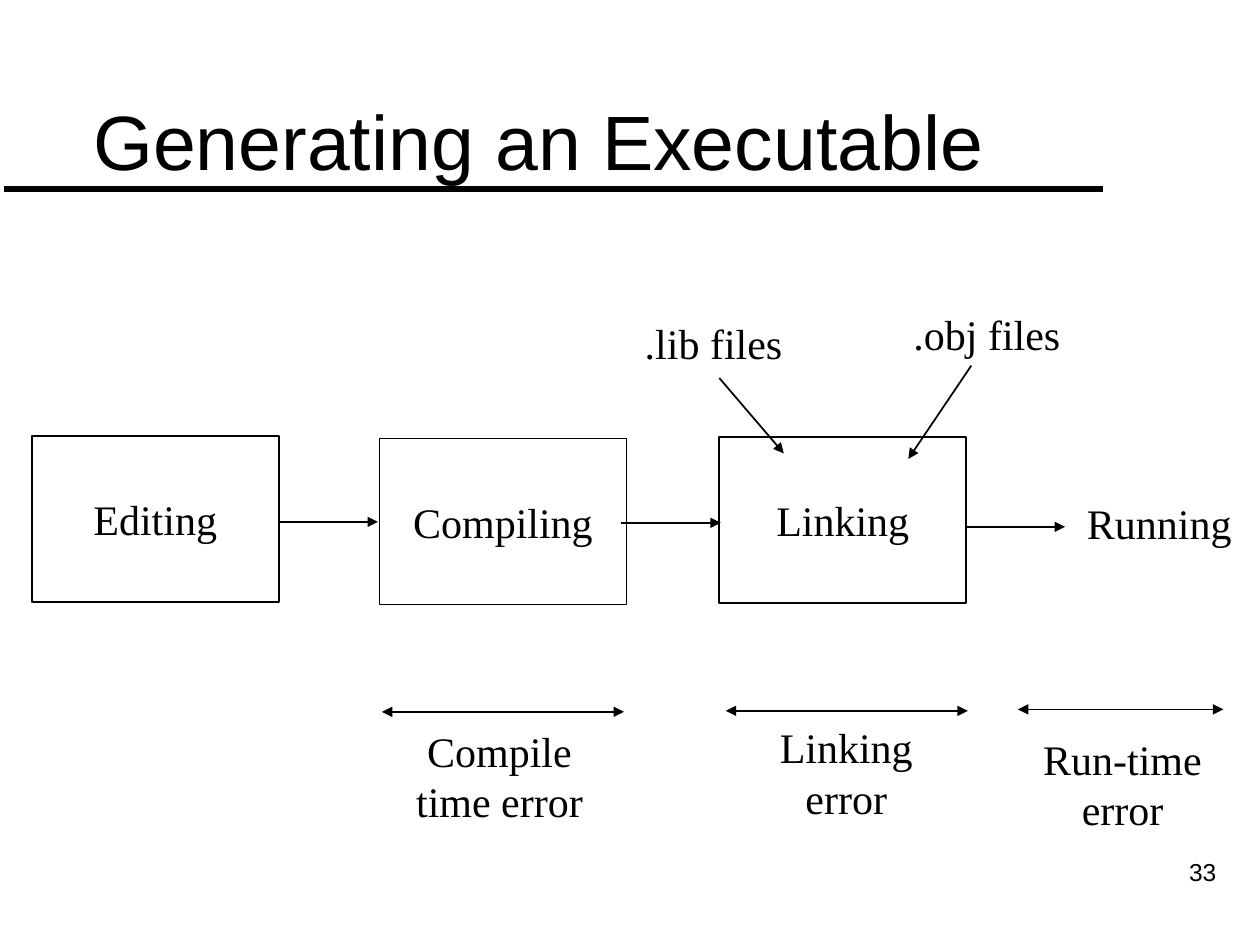
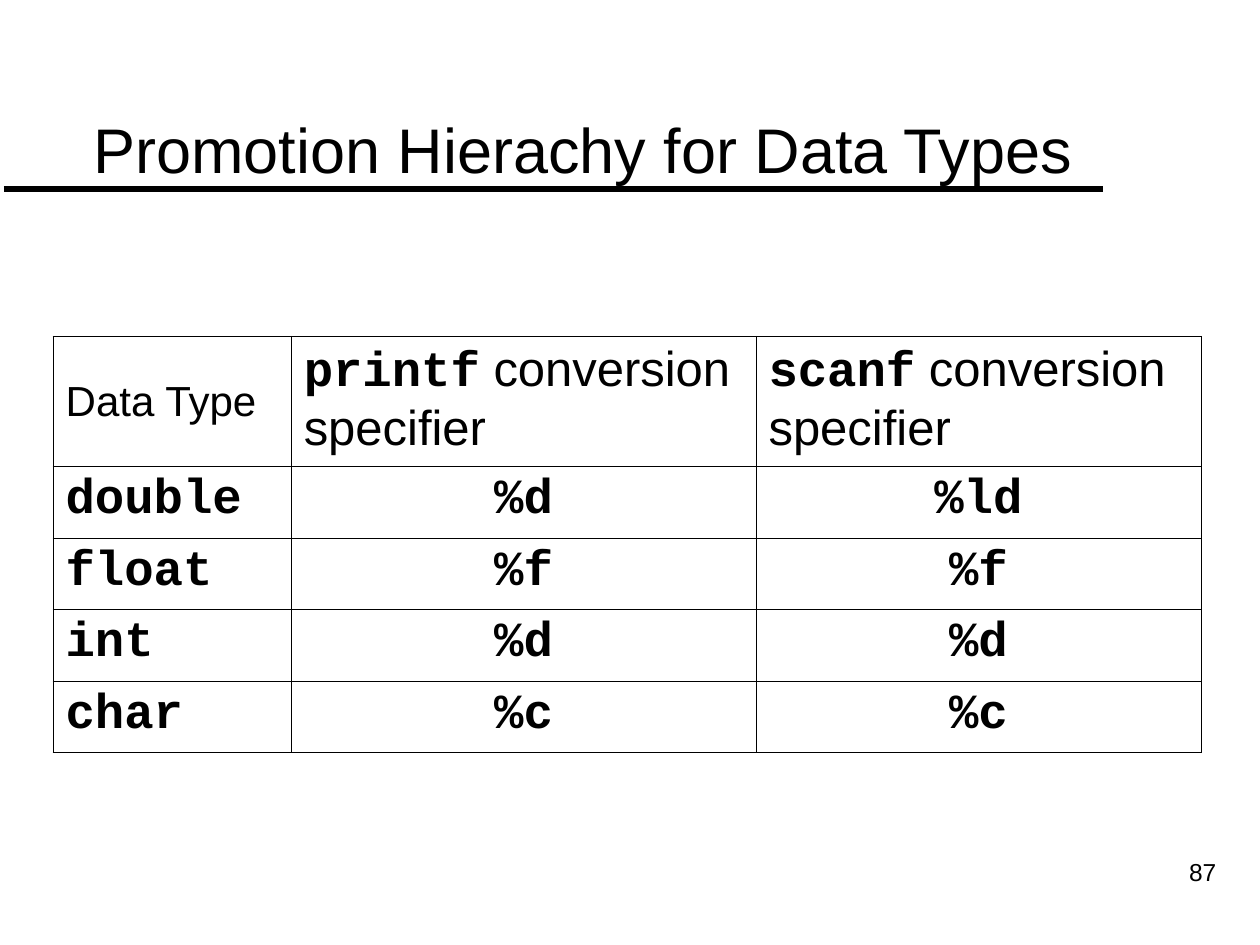
from dataclasses import dataclass

from lxml.etree import SubElement
from pptx import Presentation
from pptx.dml.color import RGBColor
from pptx.enum.shapes import MSO_CONNECTOR, MSO_SHAPE
from pptx.enum.text import MSO_ANCHOR, PP_ALIGN
from pptx.oxml.ns import qn
from pptx.util import Cm, Pt

BLACK = RGBColor(0x00, 0x00, 0x00)
SANS = "Arial"
SERIF = "Times New Roman"
MONO = "Courier New"
BLANK_LAYOUT = 6


@dataclass
class Box:
    """A region of the slide, in centimetres."""
    left: float
    top: float
    width: float
    height: float

    def inner(self, left, top, width, height):
        return Box(self.left + left, self.top + top, width, height)

    def point(self, x, y):
        return self.left + x, self.top + y

    def lengths(self):
        return Cm(self.left), Cm(self.top), Cm(self.width), Cm(self.height)


TITLE_BOX = Box(1.63, 0.81, 21.59, 3.07)
NUMBER_BOX = Box(21.39, 17.15, 3.38, 1.32)
DIAGRAM_BOX = Box(0.6, 6, 24.8, 11)
TABLE_BOX = Box(1.07, 6.78, 23.14, 8.38)


def style_run(run, size, name, bold=False):
    run.font.size = Pt(size)
    run.font.name = name
    run.font.bold = bold
    run.font.color.rgb = BLACK


def write(text_frame, text, size, name, alignment, anchor=MSO_ANCHOR.TOP):
    text_frame.word_wrap = True
    text_frame.vertical_anchor = anchor
    text_frame.text = text
    paragraph = text_frame.paragraphs[0]
    paragraph.alignment = alignment
    style_run(paragraph.runs[0], size, name)


def add_text(slide, box, *style):
    write(slide.shapes.add_textbox(*box.lengths()).text_frame, *style)


def add_label(slide, box, text):
    add_text(slide, box, text, 24, SERIF, PP_ALIGN.CENTER)


def add_line(slide, start, end, width=1, arrow_ends=()):
    """Draw a line; arrow_ends may hold headEnd and tailEnd, in that order."""
    line = slide.shapes.add_connector(
        MSO_CONNECTOR.STRAIGHT, *map(Cm, (*start, *end)))
    line.line.color.rgb = BLACK
    line.line.width = Pt(width)
    properties = line._element.spPr
    outline = properties.find(qn("a:ln"))
    for arrow_end in arrow_ends:
        SubElement(outline, qn(f"a:{arrow_end}"), type="triangle")
    SubElement(properties, qn("a:effectLst"))


def add_base_slide(presentation, title, title_size, number):
    slide = presentation.slides.add_slide(presentation.slide_layouts[BLANK_LAYOUT])
    add_line(slide, (0.08, 3.81), (22.23, 3.81), width=4)
    add_text(slide, NUMBER_BOX, number, 14, SANS, PP_ALIGN.RIGHT)
    add_text(slide, TITLE_BOX, title, title_size, SANS, PP_ALIGN.LEFT,
             MSO_ANCHOR.BOTTOM)
    return slide


def add_stages(slide, box):
    stages = [("Editing", 0.04, 2.79), ("Compiling", 7.05, 2.84),
              ("Linking", 13.9, 2.81)]
    for name, left, top in stages:
        stage = slide.shapes.add_shape(
            MSO_SHAPE.RECTANGLE, *box.inner(left, top, 4.98, 3.35).lengths())
        stage.shadow.inherit = False
        stage.fill.background()
        stage.line.color.rgb = BLACK
        stage.line.width = Pt(1)
        write(stage.text_frame, name, 24, SERIF, PP_ALIGN.CENTER,
              MSO_ANCHOR.MIDDLE)
    for x, y in [(5.01, 4.52), (11.92, 4.54), (18.86, 4.62)]:
        add_line(slide, box.point(x, y), box.point(x + 2.01, y),
                 arrow_ends=["tailEnd"])
    add_label(slide, box.inner(20.74, 3.91, 4.06, 1.27), "Running")


def add_linker_inputs(slide, box):
    inputs = [(".obj files", 16.21, 0.1, (18.98, 1.37), (17.71, 3.25)),
              (".lib files", 10.7, 0.27, (13.9, 1.62), (15.2, 3.14))]
    for name, left, top, start, end in inputs:
        add_label(slide, box.inner(left, top, 6.17, 1.27), name)
        add_line(slide, box.point(*start), box.point(*end),
                 arrow_ends=["tailEnd"])


def add_error_spans(slide, box):
    spans = [("Compile time error", (7.1, 8.35), 4.88, (7.07, 8.5), 4.8),
             ("Linking error", (14.03, 8.33), 4.88, (14.06, 8.43), 4.8),
             ("Run-time error", (19.92, 8.3), 4.14, (20, 8.66), 4.06)]
    for name, (x, y), length, corner, width in spans:
        add_line(slide, box.point(x, y), box.point(x + length, y),
                 arrow_ends=["headEnd", "tailEnd"])
        add_label(slide, box.inner(*corner, width, 2.29), name)


def border_cell(cell):
    properties = cell._tc.get_or_add_tcPr()
    for side in ("lnL", "lnR", "lnT", "lnB"):
        line = SubElement(properties, qn(f"a:{side}"), w=str(Pt(0.45)))
        fill = SubElement(line, qn("a:solidFill"))
        SubElement(fill, qn("a:srgbClr"), val=str(BLACK))
    cell.fill.background()


def fill_cell(cell, runs, alignment):
    """Write runs of (text, size, font, bold) into a bordered cell."""
    border_cell(cell)
    paragraph = cell.text_frame.paragraphs[0]
    paragraph.alignment = alignment
    for text, *style in runs:
        run = paragraph.add_run()
        run.text = text
        style_run(run, *style)


def add_specifier_table(slide, box):
    header = [[("Data Type", 24, SANS)]] + [
        [(function, 28, MONO, True), (" conversion specifier", 28, SANS)]
        for function in ("printf", "scanf")]
    specifiers = [("double", "%d", "%ld"), ("float", "%f", "%f"),
                  ("int", "%d", "%d"), ("char", "%c", "%c")]
    rows = [header] + [[[(text, 28, MONO, True)] for text in row]
                       for row in specifiers]

    table = slide.shapes.add_table(len(rows), 3, *box.lengths()).table
    table.first_row = table.horz_banding = False
    for column, width in zip(table.columns, (4.8, 9.37, 8.97)):
        column.width = Cm(width)
    header_height = 2.62
    body_height = (box.height - header_height) / len(specifiers)
    for row_index, row in enumerate(rows):
        table.rows[row_index].height = Cm(body_height if row_index else header_height)
        for column_index, runs in enumerate(row):
            centred = row_index and column_index
            fill_cell(table.cell(row_index, column_index), runs,
                      PP_ALIGN.CENTER if centred else PP_ALIGN.LEFT)
    table.cell(0, 0).vertical_anchor = MSO_ANCHOR.MIDDLE


def add_executable_slide(presentation):
    slide = add_base_slide(presentation, "Generating an Executable", 44, "33")
    add_stages(slide, DIAGRAM_BOX)
    add_linker_inputs(slide, DIAGRAM_BOX)
    add_error_spans(slide, DIAGRAM_BOX)


def add_promotion_slide(presentation):
    slide = add_base_slide(
        presentation, "Promotion Hierachy for Data Types", 36, "87")
    add_specifier_table(slide, TABLE_BOX)


def main():
    presentation = Presentation()
    presentation.slide_width = Cm(25.4)
    presentation.slide_height = Cm(19.05)
    add_executable_slide(presentation)
    add_promotion_slide(presentation)
    presentation.save("out.pptx")


if __name__ == "__main__":
    main()
